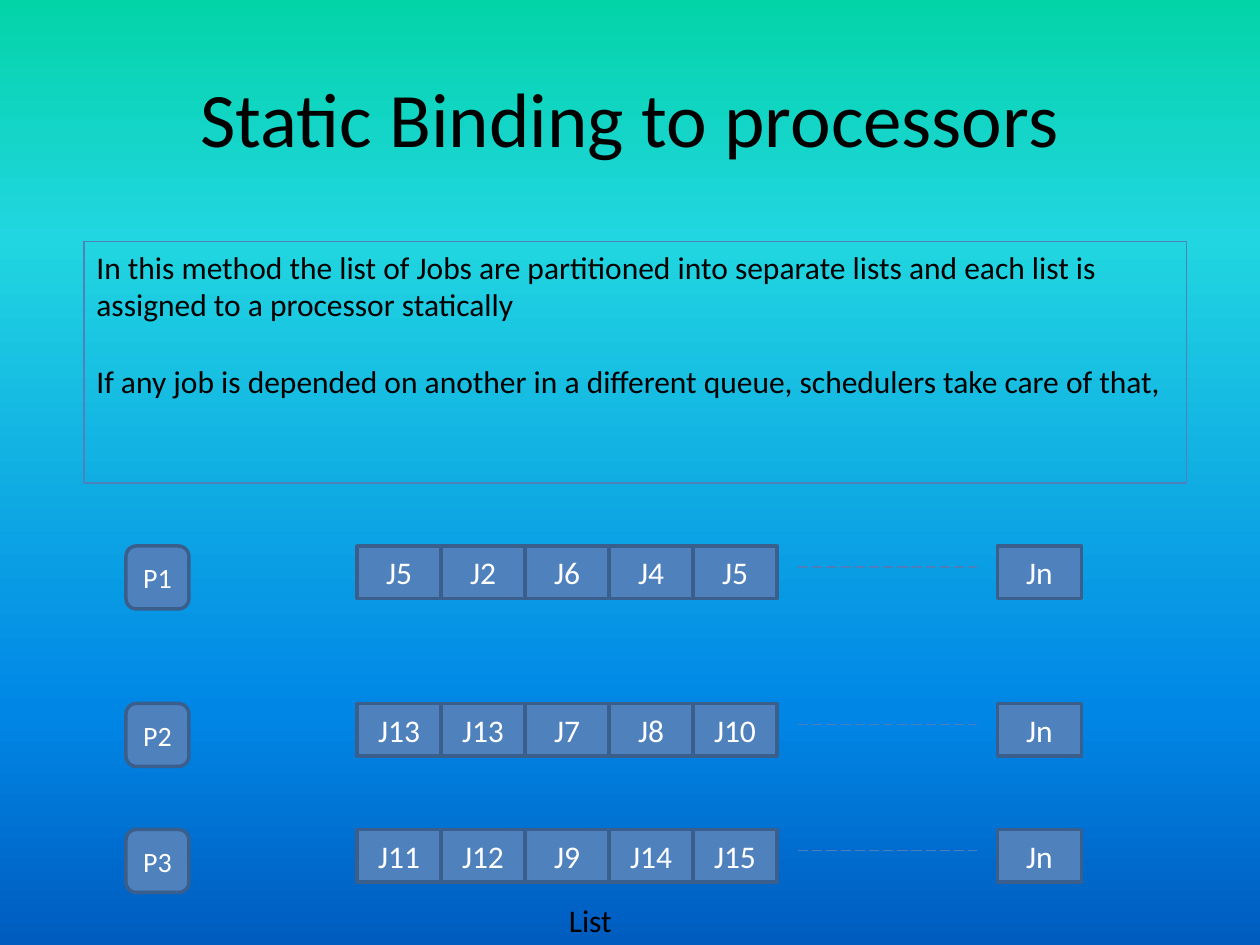
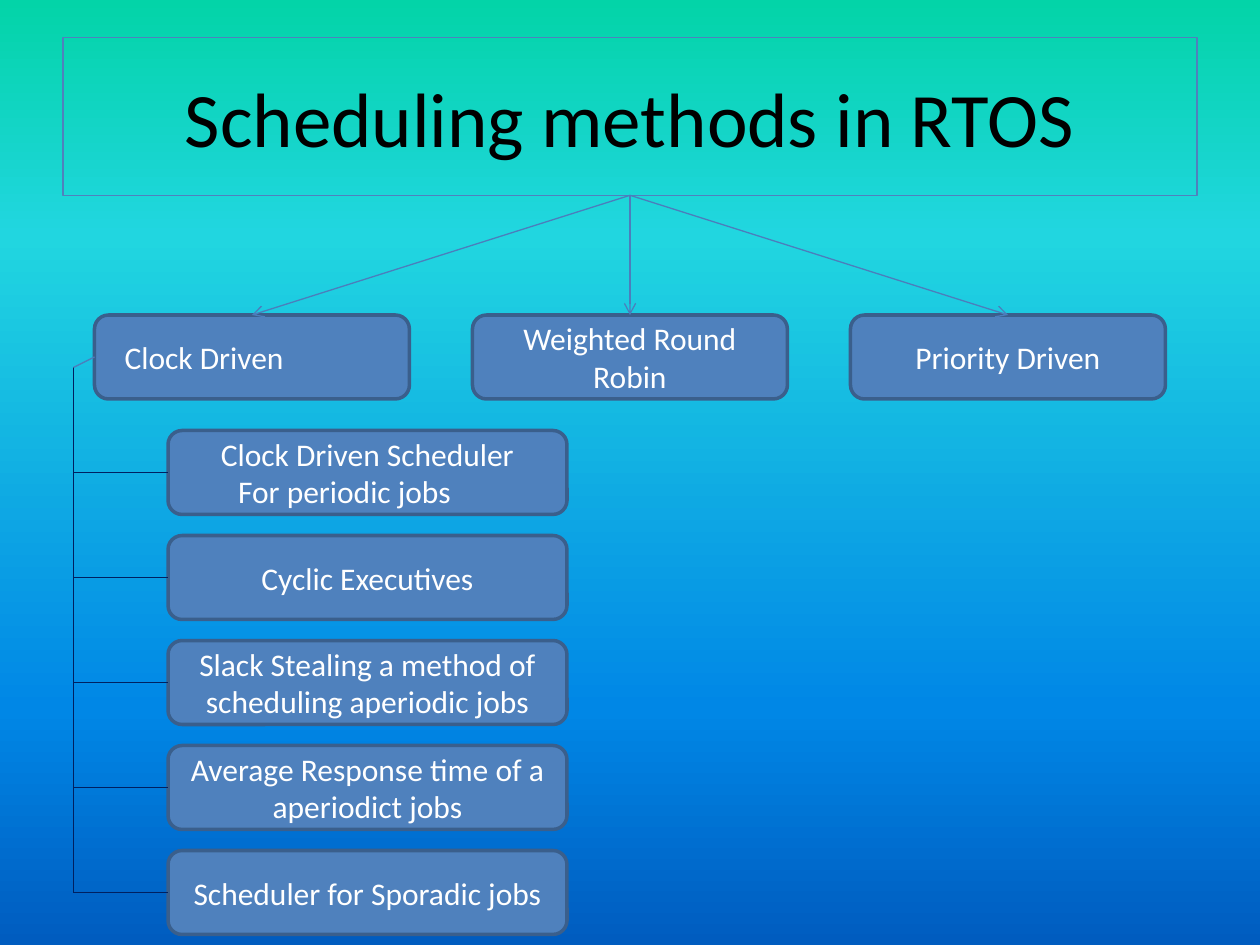
from lxml import etree
from pptx import Presentation
from pptx.dml.color import RGBColor
from pptx.enum.dml import MSO_LINE
from pptx.enum.shapes import MSO_CONNECTOR, MSO_SHAPE
from pptx.enum.text import MSO_ANCHOR, PP_ALIGN
from pptx.oxml.ns import qn
from pptx.util import Pt

RECT = MSO_SHAPE.RECTANGLE
ROUNDED = MSO_SHAPE.ROUNDED_RECTANGLE
STRAIGHT = MSO_CONNECTOR.STRAIGHT
LONG_DASH = MSO_LINE.LONG_DASH
LEFT, CENTER = PP_ALIGN.LEFT, PP_ALIGN.CENTER
TOP, MIDDLE = MSO_ANCHOR.TOP, MSO_ANCHOR.MIDDLE
TOP_SIDE, LEFT_SIDE, BOTTOM_SIDE = 0, 1, 2

EMU_PER_PX = 7620  # 120 px to the inch
WIDTH, HEIGHT = 1200, 900

FONT = "Calibri"
BLACK, WHITE, NAVY = "000000", "FFFFFF", "002060"
BLUE, BLUE_EDGE, BLUE_LINE = "4F81BD", "3A5F8C", "4B7EBC"
BACKGROUND = [(0, "03D4A8"), (25, "21D6E0"), (75, "0087E6"), (100, "005CBF")]


def px(length):
    return length * EMU_PER_PX


def color(hex_string):
    return RGBColor.from_string(hex_string)


class Deck:
    """Holds the shared style and the slide being drawn."""

    def __init__(self):
        self.prs = Presentation()
        self.prs.slide_width, self.prs.slide_height = px(WIDTH), px(HEIGHT)
        self.slide = None
        self.paint_background()

    def paint_background(self):
        """Put the four-colour vertical gradient on the master."""
        master = self.prs.slide_master
        fill = master.background.fill
        fill.gradient()
        fill.gradient_angle = 270
        stops = master.element.find(".//" + qn("a:gsLst"))
        for stop in list(stops):
            stops.remove(stop)
        for percent, hex_string in BACKGROUND:
            stop = etree.SubElement(stops, qn("a:gs"), pos=str(percent * 1000))
            etree.SubElement(stop, qn("a:srgbClr"), val=hex_string)

    def new_slide(self, title, outlined=False):
        self.slide = self.prs.slides.add_slide(self.prs.slide_layouts[6])
        if outlined:
            heading = self.panel(60, 36, 1080, 150)
        else:
            heading = self.slide.shapes.add_textbox(px(60), px(36), px(1080), px(150))
        self.set_text(heading, title, 44, BLACK, CENTER, MIDDLE)
        return heading

    def set_text(self, shape, text, size, ink, align, anchor):
        frame = shape.text_frame
        frame.word_wrap = True
        frame.vertical_anchor = anchor
        frame.text = text
        for paragraph in frame.paragraphs:
            paragraph.alignment = align
            for run in paragraph.runs:
                run.font.name = FONT
                run.font.size = Pt(size)
                run.font.color.rgb = color(ink)

    def panel(self, x, y, w, h, preset=RECT, fill=None, edge=BLUE, weight=0.75):
        shape = self.slide.shapes.add_shape(preset, px(x), px(y), px(w), px(h))
        shape.shadow.inherit = False
        if fill:
            shape.fill.solid()
            shape.fill.fore_color.rgb = color(fill)
        else:
            shape.fill.background()
        shape.line.color.rgb = color(edge)
        shape.line.width = Pt(weight)
        return shape

    def node(self, text, x, y, w, h, preset=ROUNDED, size=18):
        """Draw a filled blue box with centred white text."""
        shape = self.panel(x, y, w, h, preset, BLUE, BLUE_EDGE, 2)
        self.set_text(shape, text, size, WHITE, CENTER, MIDDLE)
        return shape

    def label(self, text, x, y, w, h):
        box = self.slide.shapes.add_textbox(px(x), px(y), px(w), px(h))
        self.set_text(box, text, 18, BLACK, LEFT, TOP)

    def indent(self, paragraph, left):
        """Set a paragraph flush left, moved in by the given distance."""
        paragraph.alignment = LEFT
        properties = paragraph._p.get_or_add_pPr()
        properties.set("marL", str(px(left)))
        properties.set("indent", "0")

    def line(self, start=(0, 0), end=(0, 0), ink=BLUE_LINE, dash=None,
             arrow=False, begin_at=None, end_at=None):
        """Draw a line; begin_at and end_at are (shape, side) pairs to join."""
        connector = self.slide.shapes.add_connector(
            STRAIGHT, *(px(value) for value in (*start, *end)))
        if begin_at:
            connector.begin_connect(*begin_at)
        if end_at:
            connector.end_connect(*end_at)
        connector.line.color.rgb = color(ink)
        connector.line.width = Pt(0.75)
        if dash:
            connector.line.dash_style = dash
        properties = connector._element.spPr
        if arrow:
            etree.SubElement(properties.find(qn("a:ln")), qn("a:tailEnd"), type="arrow")
        etree.SubElement(properties, qn("a:effectLst"))


def static_binding(deck):
    deck.new_slide("Static Binding to processors")
    method = deck.panel(80, 230, 1050, 230)
    deck.set_text(
        method,
        "In this method the list of Jobs are partitioned into separate lists "
        "and each list is assigned to a processor statically\n"
        "If any job is depended on another in a different queue, "
        "schedulers take care of that,",
        18, BLACK, LEFT, TOP)
    method.text_frame.paragraphs[0].space_after = Pt(22)

    queues = [
        ("P1", 520, ["J5", "J2", "J6", "J4", "J5"]),
        ("P2", 670, ["J13", "J13", "J7", "J8", "J10"]),
        ("P3", 790, ["J11", "J12", "J9", "J14", "J15"]),
    ]
    job_width, job_height = 80, 50
    for processor, y, jobs in queues:
        deck.node(processor, 120, y, 60, 60, size=16)
        for i, job in enumerate(jobs):
            deck.node(job, 340 + i * job_width, y, job_width, job_height, RECT)
        deck.line((760, y + 20), (930, y + 20), dash=LONG_DASH)
        deck.node("Jn", 950, y, job_width, job_height, RECT)
    deck.label("List", 530, 852, 190, 48)


def scheduling_methods(deck):
    heading = deck.new_slide("Scheduling methods in RTOS", outlined=True)
    names = ["Clock Driven", "Weighted Round Robin", "Priority Driven"]
    methods = [deck.node(name, 90 + i * 360, 300, 300, 80)
               for i, name in enumerate(names)]
    for method in methods:
        deck.line(begin_at=(heading, BOTTOM_SIDE), end_at=(method, TOP_SIDE), arrow=True)
    clock_driven = methods[0]
    deck.indent(clock_driven.text_frame.paragraphs[0], 13)

    techniques = [
        "Clock Driven Scheduler\nFor periodic jobs",
        "Cyclic Executives",
        "Slack Stealing a method of scheduling aperiodic jobs",
        "Average Response time of a aperiodict jobs",
        "Scheduler for Sporadic jobs",
    ]
    trunk_x, trunk_top = 70, 350
    first_y, step, height = 410, 100, 80
    for i, technique in enumerate(techniques):
        y = first_y + i * step
        branch_y = y + height // 2
        box = deck.node(technique, 160, y, 380, height)
        deck.line(end=(trunk_x, branch_y), ink=NAVY, begin_at=(box, LEFT_SIDE))
        if i == 0:
            deck.indent(box.text_frame.paragraphs[1], 51)
    deck.line((trunk_x, trunk_top), (trunk_x, branch_y), NAVY)
    deck.line(start=(trunk_x, trunk_top), end_at=(clock_driven, LEFT_SIDE))


def main():
    deck = Deck()
    static_binding(deck)
    scheduling_methods(deck)
    deck.prs.save("out.pptx")


if __name__ == "__main__":
    main()
